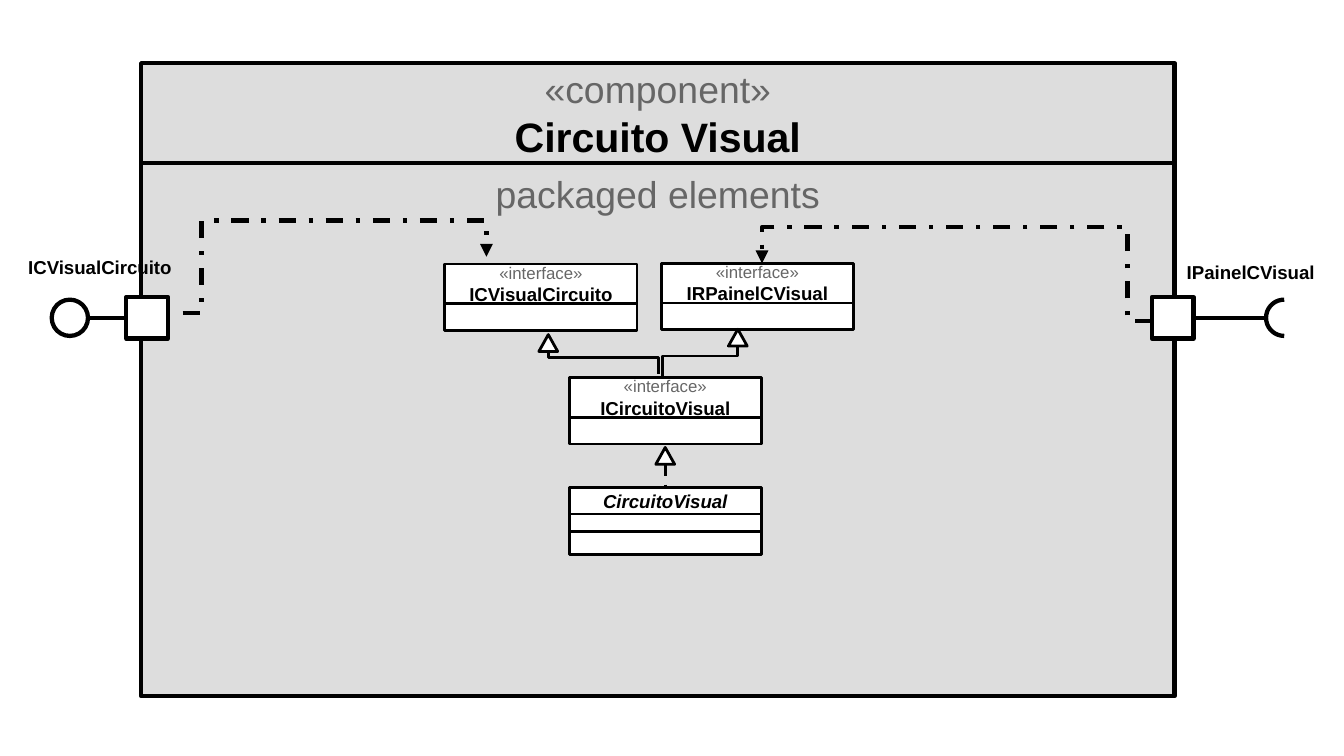
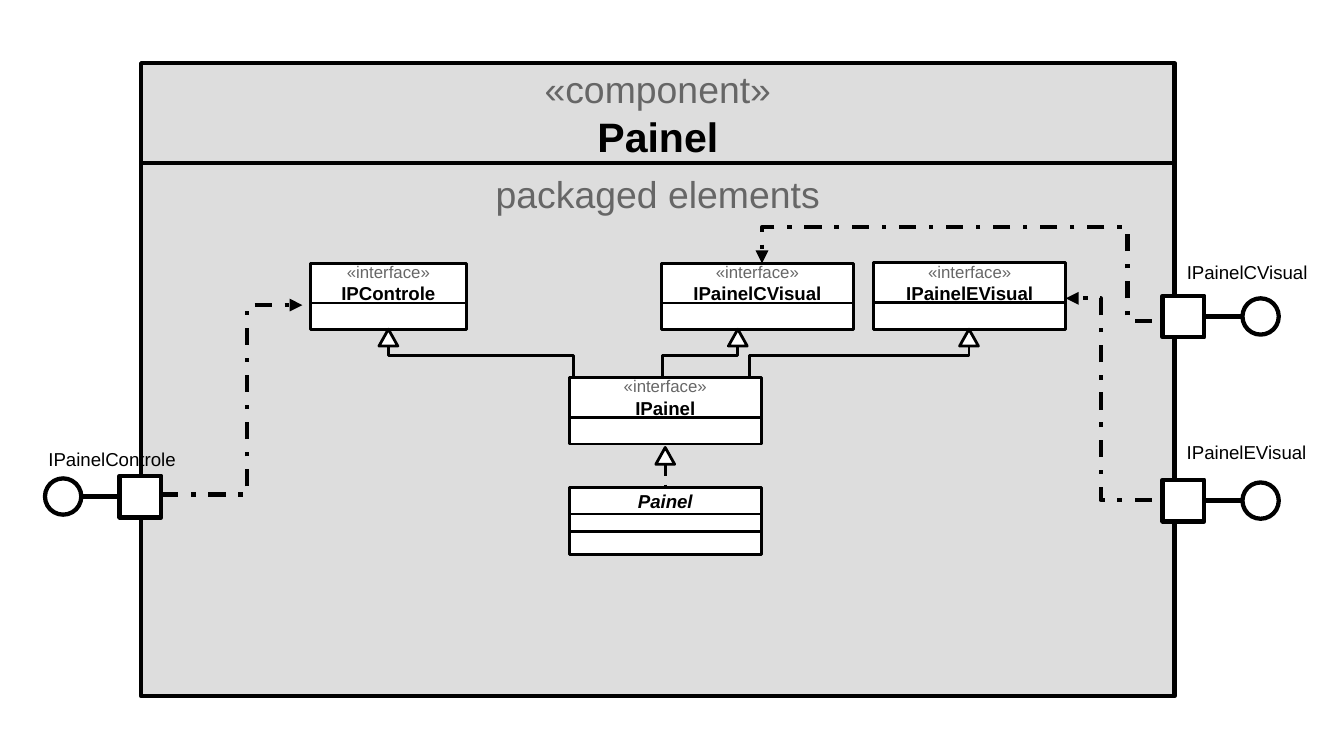
from math import cos, radians, sin

from lxml.etree import SubElement
from pptx import Presentation
from pptx.dml.color import RGBColor
from pptx.enum.dml import MSO_LINE
from pptx.enum.shapes import MSO_CONNECTOR, MSO_SHAPE
from pptx.enum.text import MSO_ANCHOR, MSO_AUTO_SIZE, PP_ALIGN
from pptx.oxml.ns import qn
from pptx.util import Inches, Pt

BLACK = RGBColor(0x00, 0x00, 0x00)
WHITE = RGBColor(0xFF, 0xFF, 0xFF)
PANEL = RGBColor(0xDD, 0xDD, 0xDD)
GREY = RGBColor(0x66, 0x66, 0x66)
FONT = "Arial"
THICK, THIN = 2.3, 1.5

# Lengths are counted in square grid cells: 100 columns by 56.25 rows.
CELL = Inches(0.1)
COLS, ROWS = 100, 56.25
FRAME = (10.5, 4.7, 76.9, 47.1)
HEADER_H = 7.45
CENTRE_X = 49.5
PORT, RING, STEM = 3.1, 2.7, 2.85
TEXT_INSETS = (1, 0.5)


def grid(*cells):
    return [round(c * CELL) for c in cells]


def style(sp, fill, weight):
    if fill is None:
        sp.fill.background()
    else:
        sp.fill.solid()
        sp.fill.fore_color.rgb = fill
    sp.line.color.rgb = BLACK
    sp.line.width = Pt(weight)
    sp.shadow.inherit = False


def write(sp, lines, insets=TEXT_INSETS, anchor=MSO_ANCHOR.MIDDLE, align=PP_ALIGN.CENTER):
    """Each line is (text, size, colour, bold, italic)."""
    tf = sp.text_frame
    tf.word_wrap = True
    tf.auto_size = MSO_AUTO_SIZE.NONE
    tf.vertical_anchor = anchor
    tf.margin_left = tf.margin_right = grid(insets[0])[0]
    tf.margin_top = tf.margin_bottom = grid(insets[1])[0]
    for i, (text, size, color, bold, italic) in enumerate(lines):
        p = tf.add_paragraph() if i else tf.paragraphs[0]
        p.alignment = align
        r = p.add_run()
        r.text = text
        r.font.name = FONT
        r.font.size = Pt(size)
        r.font.color.rgb = color
        r.font.bold = bold
        r.font.italic = italic


def add_box(s, box, fill=WHITE, weight=THIN, kind=MSO_SHAPE.RECTANGLE):
    sp = s.shapes.add_shape(kind, *grid(*box))
    style(sp, fill, weight)
    return sp


def add_path(s, points, fill=None, weight=THIN):
    """Closed when filled, open otherwise."""
    first, *rest = [grid(*point) for point in points]
    builder = s.shapes.build_freeform(*first)
    builder.add_line_segments(rest, close=fill is not None)
    sp = builder.convert_to_shape()
    style(sp, fill, weight)
    return sp


def add_line(s, start, end, weight):
    cn = s.shapes.add_connector(MSO_CONNECTOR.STRAIGHT, *grid(*start, *end))
    cn.line.color.rgb = BLACK
    cn.line.width = Pt(weight)
    SubElement(cn._element.spPr, qn("a:effectLst"))
    return cn


def add_component(s, name, box):
    x, y, w, h = box
    header = s.shapes.title
    header.left, header.top, header.width, header.height = grid(x, y, w, HEADER_H)
    style(header, PANEL, THICK)
    write(header, [("«component»", 20, GREY, False, False),
                   (name, 22, BLACK, True, False)], insets=(1, 0.6))
    body = add_box(s, (x, y + HEADER_H, w, h - HEADER_H), PANEL, THICK)
    write(body, [("packaged elements", 20, GREY, False, False)],
          insets=(1, 0.6), anchor=MSO_ANCHOR.TOP)


def add_compartments(s, x, y, w, heights, lines):
    """Stack boxes downwards; the top one holds the text and is returned."""
    boxes = []
    for h in heights:
        boxes.append(add_box(s, (x, y, w, h)))
        y += h
    write(boxes[0], lines)
    return boxes[0]


def add_interface(s, name, x, y, w=14.3):
    add_compartments(s, x, y, w, (2.95, 2),
                     [("«interface»", 9, GREY, False, False),
                      (name, 10, BLACK, True, False)])


def add_triangle(s, x, y):
    add_path(s, [(x, y), (x + 0.7, y + 1.25), (x - 0.7, y + 1.25)], WHITE)


def add_generalization(s, start, mid_y, end):
    add_path(s, [start, (start[0], mid_y), (end[0], mid_y), end])
    add_triangle(s, *end)


def add_core(s, interface, class_name):
    """Main interface with the class that realizes it."""
    add_interface(s, interface, 42.35, 28.1)
    top = add_compartments(s, 42.35, 36.3, 14.3, (1.95, 1.3, 1.7),
                           [(class_name, 10, BLACK, True, True)])
    add_triangle(s, CENTRE_X, 33.3)
    cn = add_line(s, (CENTRE_X, 34.6), (CENTRE_X, 36.3), THIN)
    cn.line.dash_style = MSO_LINE.DASH_DOT
    cn.end_connect(top, 0)


def add_delegation(s, *points):
    sp = add_path(s, points, weight=THICK)
    sp.line.dash_style = MSO_LINE.DASH_DOT
    SubElement(sp._element.spPr.find(qn("a:ln")), qn("a:tailEnd"), type="triangle")


def add_port(s, x, y, side, stem=STEM):
    """Square with a stem to side -1 (left) or 1 (right); returns the stem's end."""
    port = add_box(s, (x, y, PORT, PORT), weight=THICK)
    mid_y = y + PORT / 2
    start_x = x + PORT if side > 0 else x
    end_x = start_x + side * stem
    cn = add_line(s, (start_x, mid_y), (end_x, mid_y), THICK)
    cn.begin_connect(port, 3 if side > 0 else 1)
    return end_x, mid_y


def add_provided(s, x, y, side):
    end_x, mid_y = add_port(s, x, y, side)
    ring_x = end_x if side > 0 else end_x - RING
    add_box(s, (ring_x, mid_y - RING / 2, RING, RING), weight=THICK, kind=MSO_SHAPE.OVAL)


def add_required(s, x, y):
    end_x, mid_y = add_port(s, x, y, 1, stem=5.4)
    radius = RING / 2
    add_path(s, [(end_x + radius + radius * cos(radians(a)), mid_y + radius * sin(radians(a)))
                 for a in range(90, 271, 10)], weight=THICK)


def add_label(s, text, x, y, w, bold=False):
    sp = s.shapes.add_textbox(*grid(x, y, w, 2.5))
    write(sp, [(text, 10, BLACK, bold, False)], insets=(0.9, 0.4),
          anchor=MSO_ANCHOR.TOP, align=PP_ALIGN.LEFT)


def add_upper_delegation(s):
    add_delegation(s, (85.7, 23.9), (83.9, 23.9), (83.9, 16.9), (56.7, 16.9), (56.7, 19.6))


def new_component_slide(prs, name):
    s = prs.slides.add_slide(prs.slide_layouts[5])
    add_component(s, name, FRAME)
    return s


def build_circuito_visual(prs):
    s = new_component_slide(prs, "Circuito Visual")
    add_core(s, "ICircuitoVisual", "CircuitoVisual")
    add_interface(s, "IRPainelCVisual", 49.2, 19.6)
    add_interface(s, "ICVisualCircuito", 33.1, 19.65)
    add_generalization(s, (49.3, 28.1), 26.5, (54.9, 24.5))
    add_generalization(s, (49, 27.8), 26.6, (40.8, 24.9))
    add_upper_delegation(s)
    add_delegation(s, (13.6, 23.3), (15, 23.3), (15, 16.4), (36.2, 16.4), (36.2, 19.1))
    add_required(s, 85.7, 22.1)
    add_provided(s, 9.4, 22.1, -1)
    add_label(s, "IPainelCVisual", 87.4, 19, 12.6, bold=True)
    add_label(s, "ICVisualCircuito", 1.2, 18.6, 14.6, bold=True)


def build_painel(prs):
    s = new_component_slide(prs, "Painel")
    add_core(s, "IPainel", "Painel")
    add_interface(s, "IPControle", 23.1, 19.6, 11.6)
    add_interface(s, "IPainelCVisual", 49.2, 19.6)
    add_interface(s, "IPainelEVisual", 65, 19.55)
    for start_x, end_x in ((42.7, 28.9), (49.3, 54.9), (55.8, 72.1)):
        add_generalization(s, (start_x, 28.1), 26.45, (end_x, 24.5))
    add_upper_delegation(s)
    add_delegation(s, (85.7, 37.2), (81.9, 37.2), (81.9, 22.2), (79.3, 22.2))
    add_provided(s, 8.9, 35.4, -1)
    add_delegation(s, (12, 36.8), (18.4, 36.8), (18.4, 22.7), (22.5, 22.7))
    add_label(s, "IPainelControle", 2.7, 32.9, 14.2)
    for name, label_y, port_y, w in (("IPainelCVisual", 19, 22, 13.9),
                                     ("IPainelEVisual", 32.4, 35.7, 11.6)):
        add_label(s, name, 87.4, label_y, w)
        add_provided(s, 86.5, port_y, 1)


def main():
    prs = Presentation()
    prs.slide_width, prs.slide_height = grid(COLS, ROWS)
    build_circuito_visual(prs)
    build_painel(prs)
    prs.save("out.pptx")


if __name__ == "__main__":
    main()
